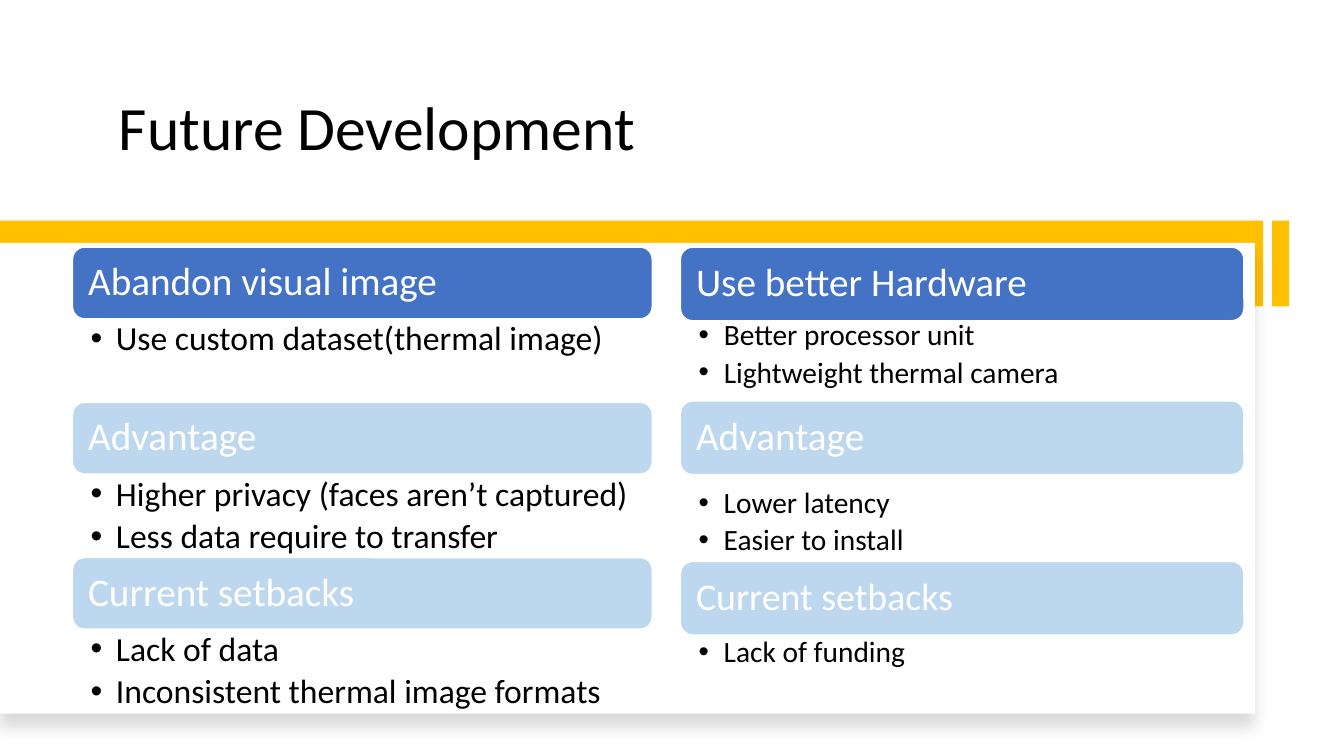
from lxml import etree
from pptx import Presentation
from pptx import util as u
from pptx.dml import color
from pptx.enum import shapes, text
from pptx.oxml import ns

GOLD, WHITE, BLACK, BLUE, PALE = "FFC000", "FFFFFF", "000000", "4472C4", "BDD7EE"


def hue(code):
    return color.RGBColor.from_string(code)


def node(root, tag, **attrs):
    return etree.SubElement(root, ns.qn(tag), attrs)


class Deck:
    """Draws styled elements on one slide, with lengths in percent of its size."""

    font = "Calibri"

    def __init__(self):
        self.prs = Presentation()
        self.prs.slide_width = u.Inches(13.333)
        self.prs.slide_height = u.Inches(7.5)
        self.page = self.prs.slides.add_slide(self.prs.slide_layouts[4])
        self.slots = [s for s in self.page.placeholders if s.placeholder_format.idx]

    def box(self, x, y, w, h):
        wide, high = self.prs.slide_width / 100, self.prs.slide_height / 100
        return [round(v) for v in (x * wide, y * high, w * wide, h * high)]

    def place(self, item, *area):
        item.left, item.top, item.width, item.height = self.box(*area)

    def frame(self, item, anchor, pads):
        body = item.text_frame
        body.word_wrap = True
        body.auto_size = text.MSO_AUTO_SIZE.NONE
        body.vertical_anchor = anchor
        body.margin_left, body.margin_top, body.margin_right, body.margin_bottom = map(u.Inches, pads)
        return body

    def label(self, para, words, size, tint):
        para.alignment = text.PP_ALIGN.LEFT
        para.line_spacing = 0.9
        para.space_before = u.Pt(0)
        run = para.add_run()
        run.text = words
        run.font.name, run.font.size, run.font.bold = self.font, u.Pt(size), False
        run.font.color.rgb = hue(tint)

    def shape(self, kind, fill, *area, edge=None):
        item = self.page.shapes.add_shape(kind, *self.box(*area))
        item.shadow.inherit = False
        item.fill.solid()
        item.fill.fore_color.rgb = hue(fill)
        if edge:
            item.line.color.rgb = hue(edge)
            item.line.width = u.Pt(1)
        else:
            item.line.fill.background()
        return item

    def bar(self, fill, *area):
        return self.shape(shapes.MSO_SHAPE.RECTANGLE, fill, *area)

    def panel(self, *area):
        item = self.bar(WHITE, *area)
        glow = node(item.element.spPr.find(ns.qn("a:effectLst")), "a:outerShdw",
                    blurRad=str(u.Pt(11)), dist=str(u.Pt(10)), dir="5400000",
                    algn="t", rotWithShape="0")
        node(node(glow, "a:srgbClr", val=BLACK), "a:alpha", val="15000")

    def title(self, words, *area):
        item = self.page.shapes.title
        self.place(item, *area)
        body = self.frame(item, text.MSO_ANCHOR.MIDDLE, (0.1, 0.05, 0.1, 0.05))
        self.label(body.paragraphs[0], words, 44, BLACK)

    def head(self, words, size, fill, *area):
        item = self.shape(shapes.MSO_SHAPE.ROUNDED_RECTANGLE, fill, *area, edge=WHITE)
        body = self.frame(item, text.MSO_ANCHOR.MIDDLE, (0.12, 0.12, 0.12, 0.12))
        self.label(body.paragraphs[0], words, size, WHITE)

    def points(self, lines, size, *area):
        if self.slots:
            item = self.slots.pop(0)
            self.page.shapes.element.append(item.element)
            self.place(item, *area)
        else:
            item = self.page.shapes.add_textbox(*self.box(*area))
        body = self.frame(item, text.MSO_ANCHOR.TOP, (0.18, 0.03, 0.19, 0.03))
        for n, line in enumerate(lines):
            para = body.add_paragraph() if n else body.paragraphs[0]
            self.label(para, line, size, BLACK)
            para.space_after = u.Pt(round(0.18 * size, 1))
            props = para._p.get_or_add_pPr()
            props.set("marL", str(u.Inches(0.25)))
            props.set("indent", str(u.Inches(-0.25)))
            node(props, "a:buFont", typeface="Arial")
            node(props, "a:buChar", char="•")

    def column(self, x, w, tall, size, rows):
        for n, (words, big, top, lines, start, deep) in enumerate(rows):
            self.head(words, big, PALE if n else BLUE, x, top, w, tall)
            self.points(lines, size, x, start, w, deep)


TOP, STEP, DEEP = 32.7, 20.53, 11.07
IMAGE = [
    ("Abandon visual image", ["Use custom dataset(thermal image)"]),
    ("Advantage", ["Higher privacy (faces aren’t captured)", "Less data require to transfer"]),
    ("Current setbacks", ["Lack of data", "Inconsistent thermal image formats"]),
]
HARD = [
    ("Use better Hardware", 28, TOP,
     ["Better processor unit", "Lightweight thermal camera"], 42, 11.6),
    ("Advantage", 28, 53.05, ["Lower latency", "Easier to install"], 64.2, 12.5),
    ("Current setbacks", 27, 74.27, ["Lack of funding"], 83.9, 7.7),
]


def main():
    deck = Deck()
    deck.bar(GOLD, 0, 29.2, 93.98, 11.33)
    deck.panel(0, 32.13, 93.38, 62.27)
    deck.bar(GOLD, 94.65, 29.2, 1.28, 11.33)
    deck.title("Future Development", 8.1, 7.6, 86.25, 19.33)
    left = [(words, 28, TOP + n * STEP, lines, TOP + n * STEP + 9.47, DEEP)
            for n, (words, lines) in enumerate(IMAGE)]
    deck.column(5.4, 43.13, 9.47, 24, left)
    deck.column(50.63, 41.93, 9.73, 21, HARD)
    deck.prs.save("out.pptx")


if __name__ == "__main__":
    main()
